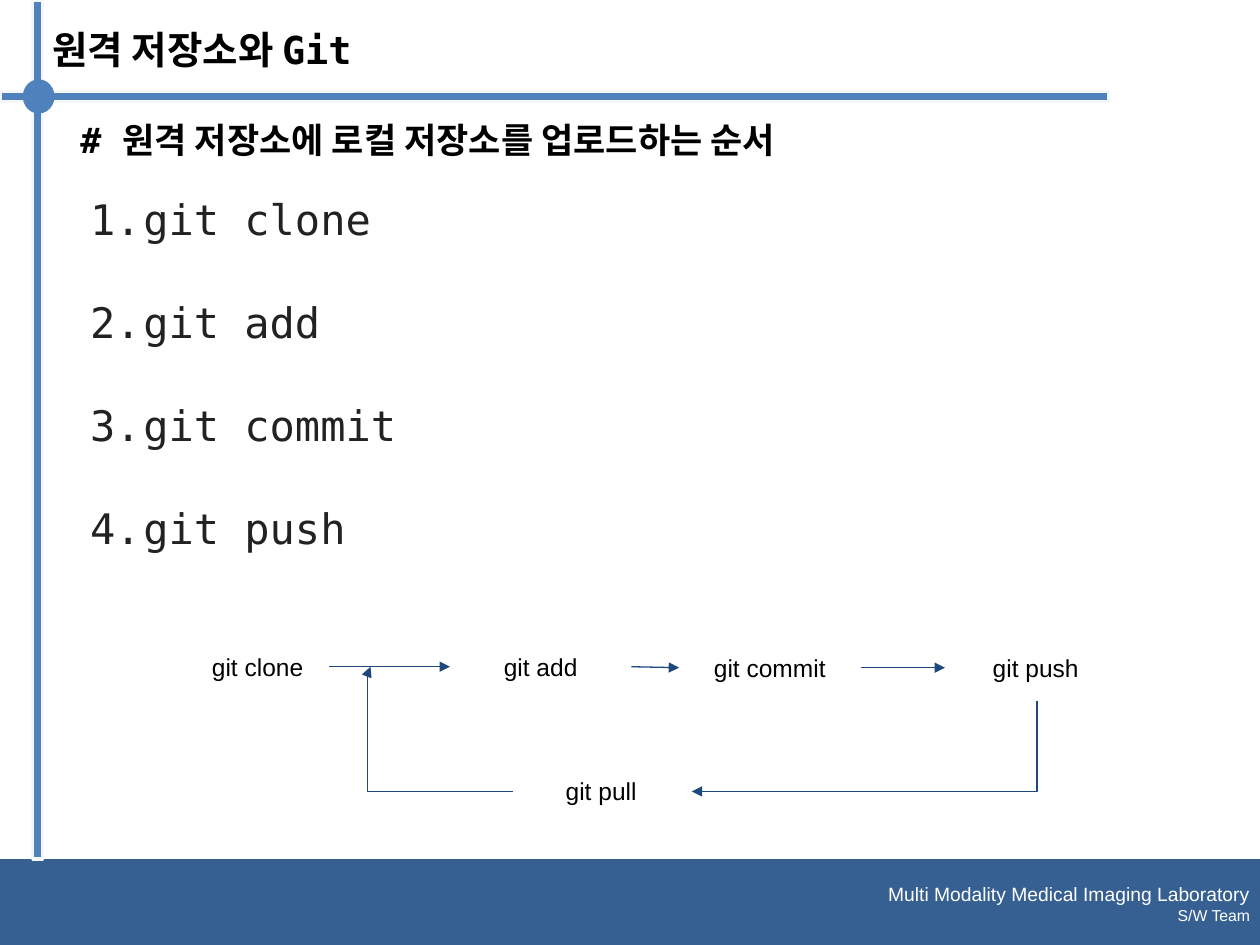
from dataclasses import dataclass
from itertools import pairwise

import lxml.etree
import pptx
import pptx.dml.color
import pptx.enum.shapes
import pptx.enum.text
import pptx.oxml
import pptx.oxml.ns
import pptx.util

Cm = pptx.util.Cm
Pt = pptx.util.Pt
Shape = pptx.enum.shapes.MSO_SHAPE
Connector = pptx.enum.shapes.MSO_CONNECTOR
Align = pptx.enum.text.PP_ALIGN
Anchor = pptx.enum.text.MSO_ANCHOR
qn = pptx.oxml.ns.qn

MONO, SANS = "DejaVu Sans Mono", "Arial"
BLACK, WHITE, GREY = "000000", "FFFFFF", "222222"
BLUE, BAND_BLUE, ARROW_BLUE, EDGE = "4F81BD", "366092", "1F497D", "F4F8FB"


@dataclass(frozen=True)
class Box:
    left: float
    top: float
    width: float
    height: float

    @property
    def right(self) -> float:
        return self.left + self.width

    @property
    def middle(self) -> float:
        return self.top + self.height / 2

    def lengths(self) -> tuple:
        return Cm(self.left), Cm(self.top), Cm(self.width), Cm(self.height)


@dataclass(frozen=True)
class Step:
    label: str
    box: Box


@dataclass(frozen=True)
class Style:
    size: float
    font: str
    color: str
    bold: bool = False


def rgb(color: str):
    return pptx.dml.color.RGBColor.from_string(color)


def add_run(paragraph, words: str, style: Style) -> None:
    run = paragraph.add_run()
    run.text = words
    run.font.size = Pt(style.size)
    run.font.name = style.font
    run.font.bold = style.bold
    run.font.color.rgb = rgb(style.color)


def set_frame(frame, anchor, side: float, end: float) -> None:
    frame.word_wrap = True
    frame.vertical_anchor = anchor
    frame.margin_left = frame.margin_right = Cm(side)
    frame.margin_top = frame.margin_bottom = Cm(end)


def add_frame(slide, box: Box, anchor=Anchor.TOP, side=0.2, end=0.1):
    frame = slide.shapes.add_textbox(*box.lengths()).text_frame
    set_frame(frame, anchor, side, end)
    return frame


def add_solid(slide, kind, box: Box, color: str, edge: str = ""):
    solid = slide.shapes.add_shape(kind, *box.lengths())
    solid.shadow.inherit = False
    solid.fill.solid()
    solid.fill.fore_color.rgb = rgb(color)
    if edge:
        solid.line.color.rgb = rgb(edge)
        solid.line.width = Pt(2)
    else:
        solid.line.fill.background()
    return solid


def number_paragraph(paragraph) -> None:
    properties = paragraph._p.get_or_add_pPr()
    properties.set("marL", str(Cm(1.27)))
    properties.set("indent", str(Cm(-1.07)))
    bullet_color = lxml.etree.SubElement(properties, qn("a:buClr"))
    lxml.etree.SubElement(bullet_color, qn("a:srgbClr")).set("val", GREY)
    lxml.etree.SubElement(properties, qn("a:buFont")).set("typeface", MONO)
    lxml.etree.SubElement(properties, qn("a:buAutoNum")).set("type", "arabicPeriod")


def add_arrow(slide, kind, start_x: float, start_y: float, end_x: float, end_y: float):
    arrow = slide.shapes.add_connector(kind, Cm(start_x), Cm(start_y), Cm(end_x), Cm(end_y))
    arrow.line.color.rgb = rgb(ARROW_BLUE)
    arrow.line.width = Pt(0.75)
    lxml.etree.SubElement(arrow.line._get_or_add_ln(), qn("a:tailEnd")).set("type", "triangle")
    lxml.etree.SubElement(arrow._element.spPr, qn("a:effectLst"))
    return arrow


def add_bent_arrow(slide, box: Box, preset: str, degrees: int, bend: int = 0) -> None:
    arrow = add_arrow(slide, Connector.ELBOW, box.left, box.top,
                      box.right, box.top + box.height)
    properties = arrow._element.spPr
    properties.find(qn("a:xfrm")).set("rot", str(degrees * 60000))
    geometry = properties.find(qn("a:prstGeom"))
    geometry.set("prst", preset)
    if bend:
        guide = lxml.etree.SubElement(geometry.get_or_add_avLst(), qn("a:gd"))
        guide.set("name", "adj1")
        guide.set("fmla", f"val {bend}")


def add_order(slide, commands: list[str]) -> None:
    order = add_frame(slide, Box(1.42, 2.29, 23.65, 4.72))
    add_run(order.paragraphs[0], "# 원격 저장소에 로컬 저장소를 업로드하는 순서",
            Style(20, MONO, BLACK, True))
    for index, command in enumerate(commands):
        paragraph = order.add_paragraph()
        paragraph.space_before = Pt(30 if index else 19)
        number_paragraph(paragraph)
        add_run(paragraph, command, Style(24, MONO, GREY))


def add_footer(slide) -> None:
    band = add_solid(slide, Shape.RECTANGLE, Box(0, 17.32, 25.4, 1.8), BAND_BLUE)
    set_frame(band.text_frame, Anchor.MIDDLE, 0.2, 0.1)
    laboratory = band.text_frame.paragraphs[0]
    team = band.text_frame.add_paragraph()
    laboratory.alignment = team.alignment = Align.RIGHT
    add_run(laboratory, "Multi Modality Medical Imaging Laboratory", Style(11, SANS, WHITE))
    add_run(team, "S/W Team", Style(9, SANS, WHITE))


def add_title(slide) -> None:
    add_solid(slide, Shape.RECTANGLE, Box(0.66, 0, 0.2, 17.32), BLUE, EDGE)
    add_solid(slide, Shape.RECTANGLE, Box(0, 1.85, 22.35, 0.2), BLUE, EDGE)
    add_solid(slide, Shape.OVAL, Box(0.46, 1.6, 0.64, 0.69), BLUE)
    title = add_frame(slide, Box(0.86, 0.43, 23.98, 1.42))
    add_run(title.paragraphs[0], "원격 저장소와 Git", Style(22, MONO, BLACK, True))


def add_flow(slide, steps: list[Step], pull: Step) -> None:
    for step in [*steps, pull]:
        frame = add_frame(slide, step.box, Anchor.MIDDLE, 0.25, 0.25)
        frame.paragraphs[0].alignment = Align.CENTER
        add_run(frame.paragraphs[0], step.label, Style(14, SANS, BLACK))
    for before, after in pairwise(steps):
        add_arrow(slide, Connector.STRAIGHT, before.box.right, before.box.middle,
                  after.box.left, after.box.middle)
    add_bent_arrow(slide, Box(16.51, 11.56, 1.83, 6.96), "bentConnector2", 90)
    add_bent_arrow(slide, Box(7.47, 13.44, 2.87, 2.51), "bentConnector3", 180, 102100)


def main() -> None:
    deck = pptx.Presentation()
    deck.slide_width, deck.slide_height = Cm(25.4), Cm(19.05)
    slide = deck.slides.add_slide(deck.slide_layouts[6])
    steps = [
        Step("git clone", Box(3.76, 12.78, 2.87, 1.32)),
        Step("git add", Box(9.07, 12.78, 3.66, 1.32)),
        Step("git commit", Box(13.69, 12.8, 3.66, 1.32)),
        Step("git push", Box(19.05, 12.8, 3.66, 1.32)),
    ]
    add_order(slide, [step.label for step in steps])
    add_footer(slide)
    add_title(slide)
    add_flow(slide, steps, Step("git pull", Box(10.29, 15.27, 3.66, 1.32)))
    deck.save("out.pptx")


if __name__ == "__main__":
    main()
